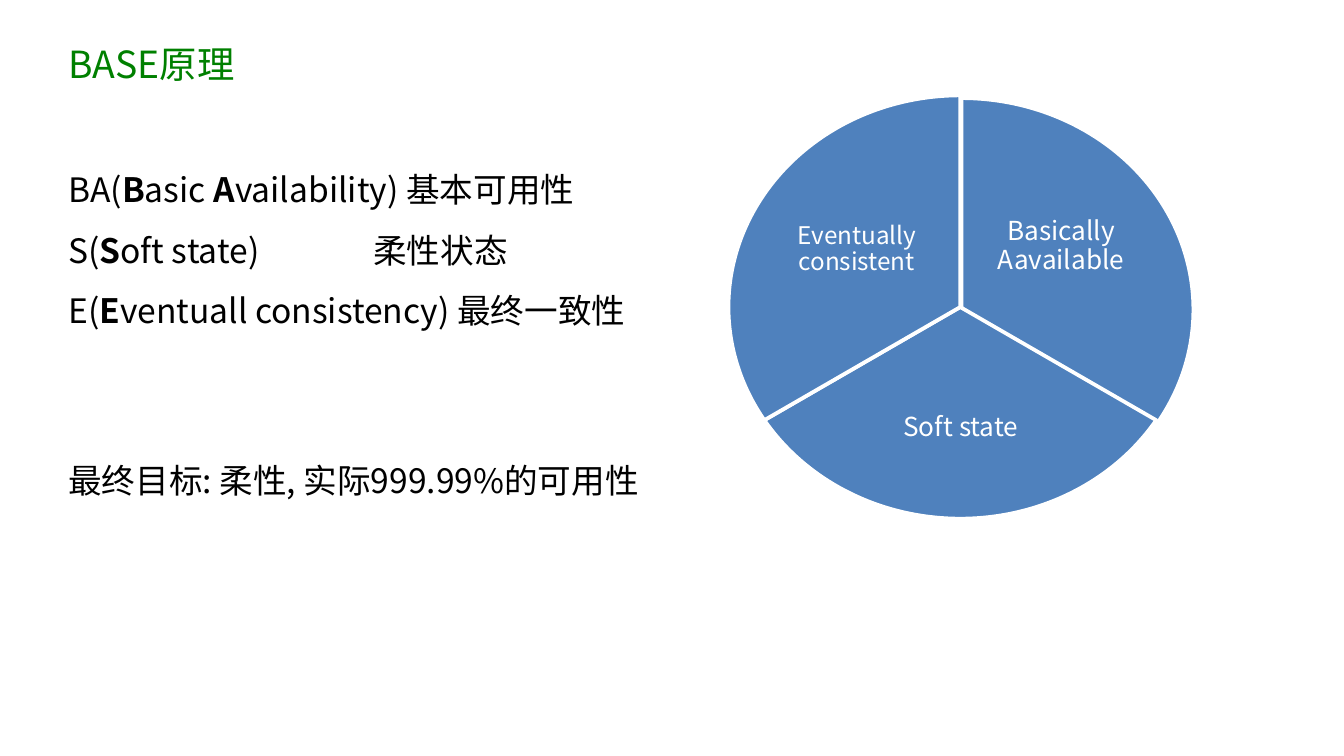
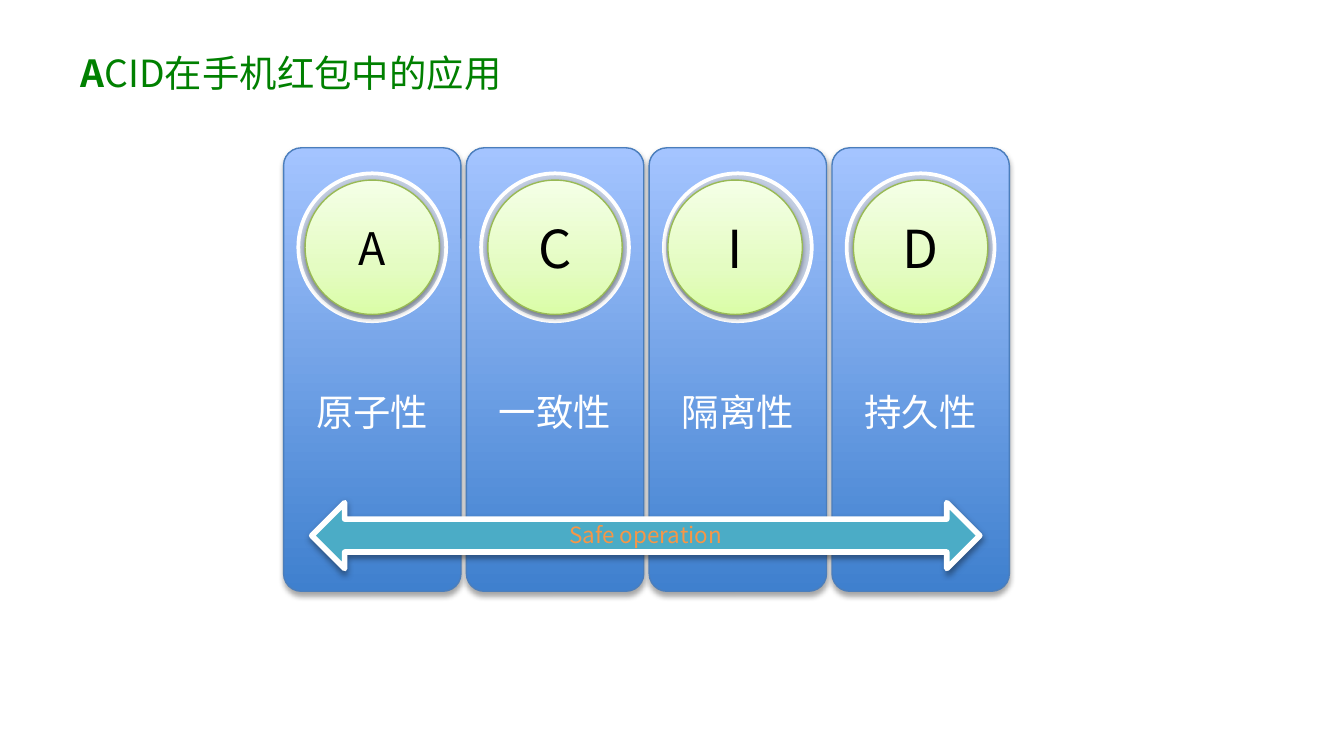
from lxml.etree import SubElement
from pptx import Presentation
from pptx.dml.color import RGBColor
from pptx.enum.shapes import MSO_SHAPE
from pptx.enum.text import MSO_ANCHOR, MSO_AUTO_SIZE, PP_ALIGN
from pptx.oxml.ns import qn
from pptx.util import Inches, Pt

FONT = "Noto Sans CJK SC"
BLACK = RGBColor(0x00, 0x00, 0x00)
WHITE = RGBColor(0xFF, 0xFF, 0xFF)
TITLE_GREEN = RGBColor(0x00, 0x80, 0x00)
PIE_BLUE = RGBColor(0x4F, 0x81, 0xBD)
CARD_EDGE = RGBColor(0x4B, 0x7E, 0xBC)
RING_GREY = RGBColor(0xC2, 0xCD, 0xE1)
BADGE_EDGE = RGBColor(0x98, 0xB9, 0x55)
ARROW_TEAL = RGBColor(0x4B, 0xAC, 0xC6)
ORANGE = RGBColor(0xF7, 0x96, 0x46)

# Gradient stops run from the bottom of the shape to its top.
CARD_STOPS = [(0, RGBColor(0x3F, 0x80, 0xCE)), (100, RGBColor(0xA4, 0xC4, 0xFF))]
BADGE_STOPS = [
    (0, RGBColor(0xDA, 0xFD, 0xA7)),
    (35, RGBColor(0xE4, 0xFC, 0xC2)),
    (100, RGBColor(0xF5, 0xFF, 0xE7)),
]

CENTRED = {"alignment": PP_ALIGN.CENTER}
LABEL = {"alignment": PP_ALIGN.CENTER, "line_spacing": 0.9}
MIDDLE = {"vertical_anchor": MSO_ANCHOR.MIDDLE}
GROWING = {"auto_size": MSO_AUTO_SIZE.SHAPE_TO_FIT_TEXT}


def set_all(target, values):
    for name, value in values.items():
        setattr(target, name, value)


def margins(inset):
    sides = ("left", "top", "right", "bottom")
    return {f"margin_{side}": Inches(inset) for side in sides}


def write(frame, lines, size, color, para_format=None, tab=None):
    """Fill a text frame; in each line, text between asterisks is bold."""
    for index, line in enumerate(lines):
        para = frame.add_paragraph() if index else frame.paragraphs[0]
        set_all(para, para_format or {})
        if tab and "\t" in line:
            tab_list = SubElement(para._p.get_or_add_pPr(), qn("a:tabLst"))
            SubElement(tab_list, qn("a:tab"), pos=str(Inches(tab)), algn="l")
        for part, text in enumerate(line.split("*")):
            if not text:
                continue
            span = para.add_run()
            span.text = text
            set_all(span.font, {"name": FONT, "size": Pt(size), "bold": part % 2 == 1})
            span.font.color.rgb = color
            SubElement(span._r.get_or_add_rPr(), qn("a:ea"), typeface=FONT)


def add_text(page, place, lines, size, color, frame_format, para_format=None, tab=None):
    box = page.shapes.add_textbox(*map(Inches, place))
    set_all(box.text_frame, {"word_wrap": True, **frame_format})
    write(box.text_frame, lines, size, color, para_format, tab)


def add_title(page, place, text):
    add_text(page, place, [text], 20, TITLE_GREEN, MIDDLE)


def fill_gradient(shape, stops):
    shape.fill.gradient()
    shape.fill.gradient_angle = 90
    stop_list = shape._element.spPr.find(".//" + qn("a:gsLst"))
    stop_list.clear()
    for percent, color in stops:
        stop = SubElement(stop_list, qn("a:gs"), pos=str(percent * 1000))
        SubElement(stop, qn("a:srgbClr"), val=str(color))


def add_shadow(shape, opacity, distance):
    """Cast a soft black shadow straight down."""
    effects = shape._element.spPr.find(qn("a:effectLst"))
    shadow = SubElement(
        effects, qn("a:outerShdw"), blurRad=str(Pt(3.1)), dist=str(Pt(distance)),
        dir="5400000", rotWithShape="0",
    )
    black = SubElement(shadow, qn("a:srgbClr"), val=str(BLACK))
    SubElement(black, qn("a:alpha"), val=str(opacity * 1000))


def add_figure(page, kind, place, fill, edge, edge_width, adjustments=()):
    """Add a preset shape; fill is one colour or a list of gradient stops."""
    shape = page.shapes.add_shape(kind, *map(Inches, place))
    shape.shadow.inherit = False
    for index, value in enumerate(adjustments):
        shape.adjustments[index] = value
    if isinstance(fill, list):
        fill_gradient(shape, fill)
    else:
        shape.fill.solid()
        shape.fill.fore_color.rgb = fill
    shape.line.color.rgb = edge
    shape.line.width = Pt(edge_width)
    return shape


def add_sector(page, left, top, start, end, text, text_place, size):
    """Add a labelled sector between two angles in degrees, clockwise from the right."""
    angles = [degrees * 0.6 for degrees in (start, end)]
    add_figure(page, MSO_SHAPE.PIE, (left, top, 3.45, 3.15), PIE_BLUE, WHITE, 2, angles)
    add_text(page, text_place, [text], size, WHITE, {**MIDDLE, **margins(0.02)}, LABEL)


def add_card(page, left, name):
    card = add_figure(page, MSO_SHAPE.ROUNDED_RECTANGLE, (left, 1.1, 1.32, 3.3),
                      CARD_STOPS, CARD_EDGE, 0.75, [0.1])
    add_shadow(card, 35, 1.8)
    add_text(page, (left, 2.42, 1.32, 1.32), [name], 20, WHITE,
             {**MIDDLE, **margins(0.16)}, LABEL)
    add_figure(page, MSO_SHAPE.OVAL, (left + 0.11, 1.29, 1.1, 1.1), RING_GREY, WHITE, 2)


def add_badge(page, left, letter, size):
    badge = add_figure(page, MSO_SHAPE.OVAL, (left, 1.34, 1, 1),
                       BADGE_STOPS, BADGE_EDGE, 0.75)
    add_shadow(badge, 38, 1.6)
    set_all(badge.text_frame, MIDDLE)
    write(badge.text_frame, [letter], size, BLACK, CENTRED)


def build_base_page(page):
    add_title(page, (0.41, 0.23, 9, 0.48), "BASE原理")
    sectors = [
        (5.43, 0.73, 270, 30, "Basically Aavailable", (7.31, 1.31, 1.17, 1.05), 14),
        (5.42, 0.71, 30, 150, "Soft state", (6.37, 2.7, 1.56, 0.97), 14),
        (5.42, 0.71, 150, 270, "Eventually consistent", (5.79, 1.33, 1.17, 1.05), 13),
    ]
    for sector in sectors:
        add_sector(page, *sector)
    meanings = [
        "BA(*B*asic *A*vailability) 基本可用性",
        "S(*S*oft state)\t柔性状态",
        "E(*E*ventuall consistency) 最终一致性",
    ]
    add_text(page, (0.41, 1.06, 5, 1.46), meanings, 18, BLACK, GROWING,
             {"line_spacing": 1.5}, tab=2.27)
    add_text(page, (0.41, 3.37, 4.54, 0.4), ["最终目标: 柔性, 实际999.99%的可用性"],
             18, BLACK, GROWING)


def build_acid_page(page):
    add_title(page, (0.5, 0.23, 9, 0.62), "*A*CID在手机红包中的应用")
    properties = [("A", "原子性", 24, 0.16), ("C", "一致性", 28, 0.16),
                  ("I", "隔离性", 28, 0.14), ("D", "持久性", 28, 0.16)]
    lefts = [2.11 + 1.36 * index for index in range(len(properties))]
    for left, (_, name, _, _) in zip(lefts, properties):
        add_card(page, left, name)
    arrow = add_figure(page, MSO_SHAPE.LEFT_RIGHT_ARROW, (2.32, 3.74, 4.97, 0.49),
                       ARROW_TEAL, WHITE, 3)
    add_shadow(arrow, 38, 1.6)
    for left, (letter, _, size, inset) in zip(lefts, properties):
        add_badge(page, left + inset, letter, size)
    add_text(page, (4.14, 3.83, 1.72, 0.3), ["Safe operation"], 12, ORANGE, GROWING)


def main():
    deck = Presentation()
    deck.slide_width = Inches(10)
    deck.slide_height = Inches(10 * 9 / 16)
    for build in (build_base_page, build_acid_page):
        build(deck.slides.add_slide(deck.slide_layouts[6]))
    deck.save("out.pptx")


if __name__ == "__main__":
    main()
